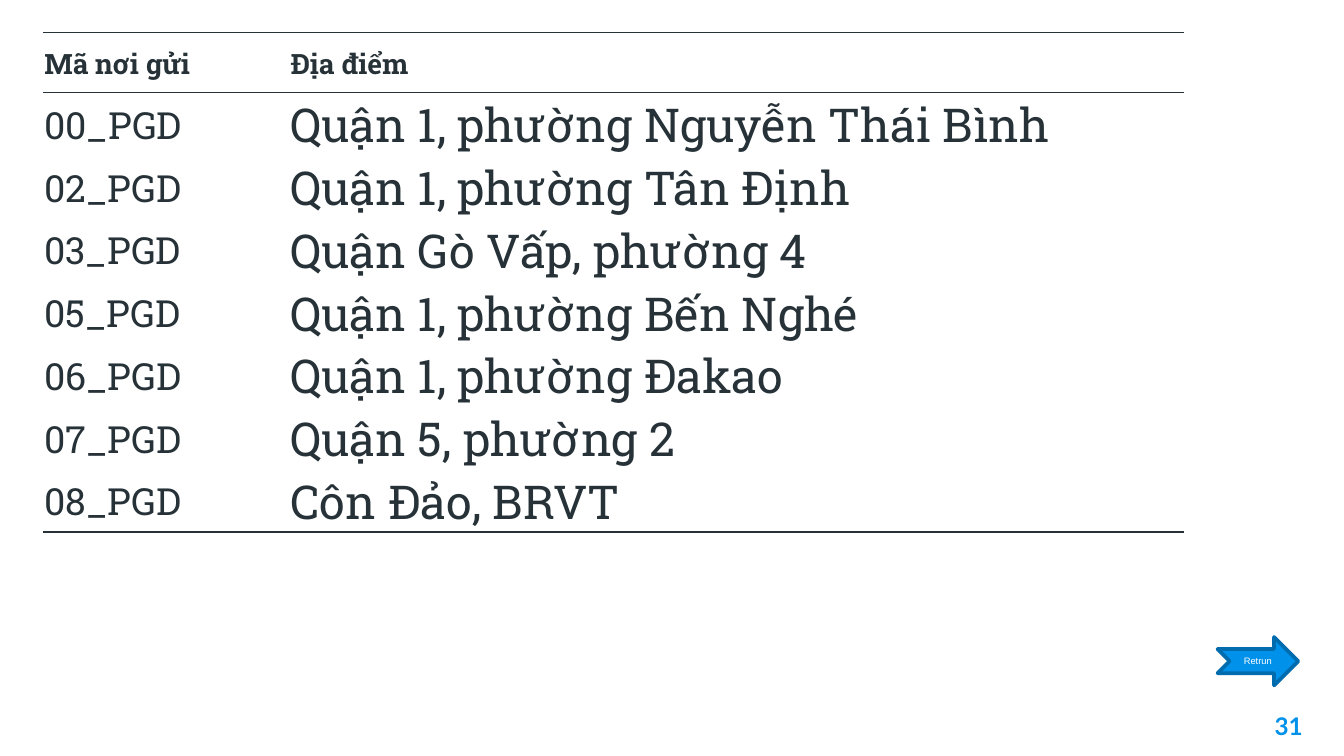
from dataclasses import dataclass

from lxml import etree
from pptx import Presentation
from pptx import util as u
from pptx.dml.color import RGBColor
from pptx.enum import shapes, text
from pptx.oxml.ns import qn


@dataclass(frozen=True)
class Theme:
    """Colours, fonts and type sizes of the slide."""
    ink: str = "263238"
    accent: str = "0091EA"
    accent_dark: str = "006BAD"
    white: str = "FFFFFF"
    body_font: str = "Roboto Slab"
    number_font: str = "Lato"
    button_font: str = "Arial"
    header_size: int = 15
    code_size: int = 20
    place_size: int = 25
    number_size: int = 13
    button_size: int = 5
    rule_width: float = 0.75


THEME = Theme()
HEADERS = ("Mã nơi gửi", "Địa điểm")
OFFICES = (
    ("00_PGD", "Quận 1, phường Nguyễn Thái Bình"),
    ("02_PGD", "Quận 1, phường Tân Định"),
    ("03_PGD", "Quận Gò Vấp, phường 4"),
    ("05_PGD", "Quận 1, phường Bến Nghé"),
    ("06_PGD", "Quận 1, phường Đakao"),
    ("07_PGD", "Quận 5, phường 2"),
    ("08_PGD", "Côn Đảo, BRVT"),
)


def write(frame, wording, font_name, size, color, bold=False, align=text.PP_ALIGN.LEFT):
    """Put one formatted line of text in a frame."""
    frame.text = wording
    line = frame.paragraphs[0]
    line.alignment = align
    font = line.runs[0].font
    font.name, font.size, font.bold = font_name, u.Pt(size), bold
    font.color.rgb = RGBColor.from_string(color)


def set_borders(cell, ruled_edges):
    """Rule the named edges of a cell and clear the others."""
    properties = cell._tc.get_or_add_tcPr()
    for edge in ("L", "R", "T", "B"):
        border = etree.SubElement(properties, qn(f"a:ln{edge}"), w=str(u.Pt(THEME.rule_width)))
        if edge in ruled_edges:
            fill = etree.SubElement(border, qn("a:solidFill"))
            etree.SubElement(fill, qn("a:srgbClr"), val=THEME.ink)
        else:
            etree.SubElement(border, qn("a:noFill"))


def add_office_table(slide, left, top, column_widths, header_height, body_height):
    """Add the table of office codes and places."""
    rows = (HEADERS, *OFFICES)
    table = slide.shapes.add_table(
        len(rows), len(HEADERS), u.Inches(left), u.Inches(top),
        u.Inches(sum(column_widths)), u.Inches(header_height + body_height)).table
    table.first_row = table.horz_banding = False
    for column, width in zip(table.columns, column_widths):
        column.width = u.Inches(width)
    ruled = {0: "TB", 1: "T", len(rows) - 1: "B"}
    for index, row in enumerate(rows):
        sizes = (THEME.code_size, THEME.place_size) if index else (THEME.header_size,) * 2
        height = body_height / len(OFFICES) if index else header_height
        table.rows[index].height = u.Inches(height)
        for column, (wording, size) in enumerate(zip(row, sizes)):
            cell = table.cell(index, column)
            cell.margin_left = cell.margin_right = cell.margin_top = u.Inches(0.01)
            cell.margin_bottom = 0
            cell.vertical_anchor = text.MSO_ANCHOR.MIDDLE
            write(cell.text_frame, wording, THEME.body_font, size, THEME.ink, bold=index == 0)
            set_borders(cell, ruled.get(index, ""))
            cell.fill.background()


def add_return_button(slide, left, top, width, height):
    """Add the notched arrow with its label."""
    arrow = slide.shapes.add_shape(
        shapes.MSO_SHAPE.NOTCHED_RIGHT_ARROW, *map(u.Inches, (left, top, width, height)))
    arrow.shadow.inherit = False
    arrow.fill.solid()
    arrow.fill.fore_color.rgb = RGBColor.from_string(THEME.accent)
    arrow.line.color.rgb = RGBColor.from_string(THEME.accent_dark)
    arrow.line.width = u.Pt(2)
    arrow.text_frame.vertical_anchor = text.MSO_ANCHOR.MIDDLE
    write(arrow.text_frame, "Retrun", THEME.button_font, THEME.button_size, THEME.white,
          align=text.PP_ALIGN.CENTER)


def add_page_number(slide, left, top, width, height):
    """Add the page number at the lower right."""
    frame = slide.shapes.add_textbox(*map(u.Inches, (left, top, width, height))).text_frame
    frame.word_wrap = True
    frame.margin_left = frame.margin_right = u.Inches(0.1)
    frame.margin_top = frame.margin_bottom = u.Inches(0.1)
    write(frame, "31", THEME.number_font, THEME.number_size, THEME.accent, bold=True,
          align=text.PP_ALIGN.RIGHT)


def main():
    """Build and save the slide."""
    deck = Presentation()
    deck.slide_width = u.Inches(10)
    deck.slide_height = deck.slide_width * 9 // 16
    slide = deck.slides.add_slide(deck.slide_layouts[6])
    add_page_number(slide, 9.19, 5.19, 0.6, 0.43)
    add_office_table(slide, 0.32, 0.24, (1.83, 6.66), 0.45, 3.27)
    add_return_button(slide, 9.06, 4.74, 0.6, 0.36)
    deck.save("out.pptx")


if __name__ == "__main__":
    main()
